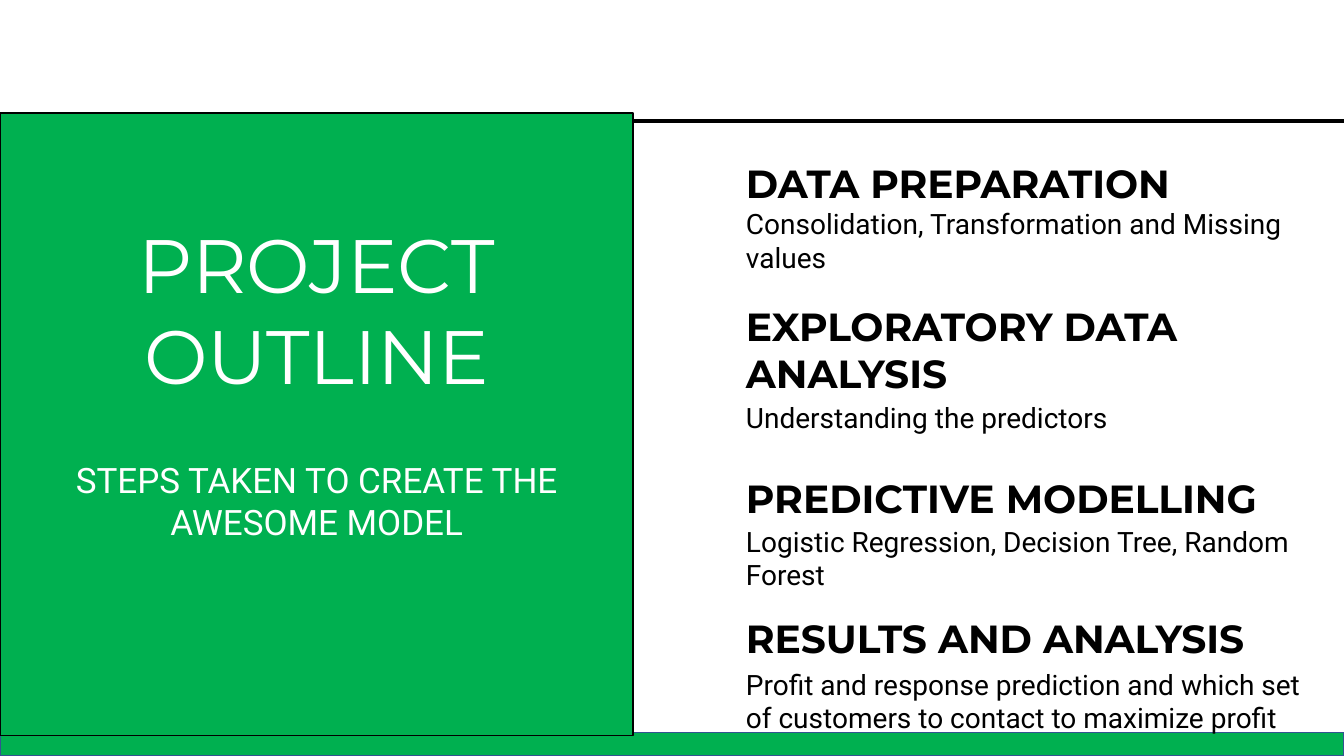
from dataclasses import dataclass

from lxml.etree import SubElement
from pptx import Presentation
from pptx.dml.color import RGBColor
from pptx.enum.shapes import MSO_CONNECTOR, MSO_SHAPE
from pptx.enum.text import MSO_ANCHOR, MSO_AUTO_SIZE, PP_ALIGN
from pptx.oxml.ns import qn
from pptx.shapes.autoshape import Shape
from pptx.slide import Slide
from pptx.text.text import _Paragraph as Paragraph
from pptx.util import Pt

PX = 9144  # 100 px to the inch
SLIDE_WIDTH, SLIDE_HEIGHT = 1333, 750
TEXT_LEFT = 730

GREEN = RGBColor(0x00, 0xB0, 0x50)
BLUE = RGBColor(0x32, 0x54, 0x91)
BLACK = RGBColor(0x00, 0x00, 0x00)
WHITE = RGBColor(0xFF, 0xFF, 0xFF)

HEADING_FONT = "Montserrat"
BODY_FONT = "Roboto"


@dataclass(frozen=True)
class Label:
    text: str
    top: int
    width: int
    height: int


@dataclass(frozen=True)
class Step:
    heading: Label
    detail: Label


STEPS = [
    Step(
        Label("DATA PREPARATION", 153, 578, 57),
        Label("Consolidation, Transformation and Missing values", 200, 566, 77),
    ),
    Step(
        Label("EXPLORATORY DATA ANALYSIS", 295, 578, 104),
        Label("Understanding the predictors", 392, 450, 44),
    ),
    Step(
        Label("PREDICTIVE MODELLING", 466, 578, 57),
        Label("Logistic Regression, Decision Tree, Random Forest", 515, 592, 77),
    ),
    Step(
        Label("RESULTS AND ANALYSIS", 605, 579, 57),
        Label(
            "Profit and response prediction and which set of customers "
            "to contact to maximize profit",
            657, 583, 77,
        ),
    ),
]


def add_rectangle(
    slide: Slide, left: int, top: int, width: int, height: int,
    fill: RGBColor, line: RGBColor,
) -> Shape:
    shape = slide.shapes.add_shape(
        MSO_SHAPE.RECTANGLE, left * PX, top * PX, width * PX, height * PX
    )
    shape.shadow.inherit = False
    shape.fill.solid()
    shape.fill.fore_color.rgb = fill
    shape.line.color.rgb = line
    shape.line.width = Pt(1)
    return shape


def add_top_rule(slide: Slide) -> None:
    rule = slide.shapes.add_connector(
        MSO_CONNECTOR.STRAIGHT, SLIDE_WIDTH * PX, 120 * PX, 0, 120 * PX
    )
    rule.line.color.rgb = BLACK
    rule.line.width = Pt(2.25)
    SubElement(rule._element.spPr, qn("a:effectLst"))


def format_runs(
    paragraph: Paragraph, font_name: str, size: int, color: RGBColor,
    bold: bool = False,
) -> None:
    for run in paragraph.runs:
        run.font.name = font_name
        run.font.size = Pt(size)
        run.font.color.rgb = color
        run.font.bold = bold


def add_title_panel(slide: Slide) -> None:
    panel = add_rectangle(slide, 0, 112, 628, 618, GREEN, BLACK)
    frame = panel.text_frame
    frame.word_wrap = True
    frame.vertical_anchor = MSO_ANCHOR.MIDDLE
    frame.margin_bottom = 92 * PX  # lifts the text above the panel's middle
    frame.text = "PROJECT OUTLINE\nSTEPS TAKEN TO CREATE THE AWESOME MODEL"
    title, subtitle = frame.paragraphs
    title.alignment = subtitle.alignment = PP_ALIGN.CENTER
    subtitle.space_before = Pt(42)
    format_runs(title, HEADING_FONT, 54, WHITE)
    format_runs(subtitle, BODY_FONT, 25, WHITE)


def add_step(slide: Slide, step: Step) -> None:
    group = slide.shapes.add_group_shape()
    for label, font_name, size, bold in (
        (step.heading, HEADING_FONT, 28, True),
        (step.detail, BODY_FONT, 20, False),
    ):
        box = group.shapes.add_textbox(
            TEXT_LEFT * PX, label.top * PX, label.width * PX, label.height * PX
        )
        frame = box.text_frame
        frame.word_wrap = True
        frame.auto_size = MSO_AUTO_SIZE.SHAPE_TO_FIT_TEXT
        frame.text = label.text
        format_runs(frame.paragraphs[0], font_name, size, BLACK, bold)


def main() -> None:
    presentation = Presentation()
    presentation.slide_width = SLIDE_WIDTH * PX
    presentation.slide_height = SLIDE_HEIGHT * PX
    slide = presentation.slides.add_slide(presentation.slide_layouts[6])

    add_rectangle(slide, 0, 727, SLIDE_WIDTH, 23, GREEN, BLUE)
    add_top_rule(slide)
    add_title_panel(slide)
    add_rectangle(slide, 638, 142, 642, 537, WHITE, WHITE)
    for step in STEPS:
        add_step(slide, step)

    presentation.save("out.pptx")


if __name__ == "__main__":
    main()
